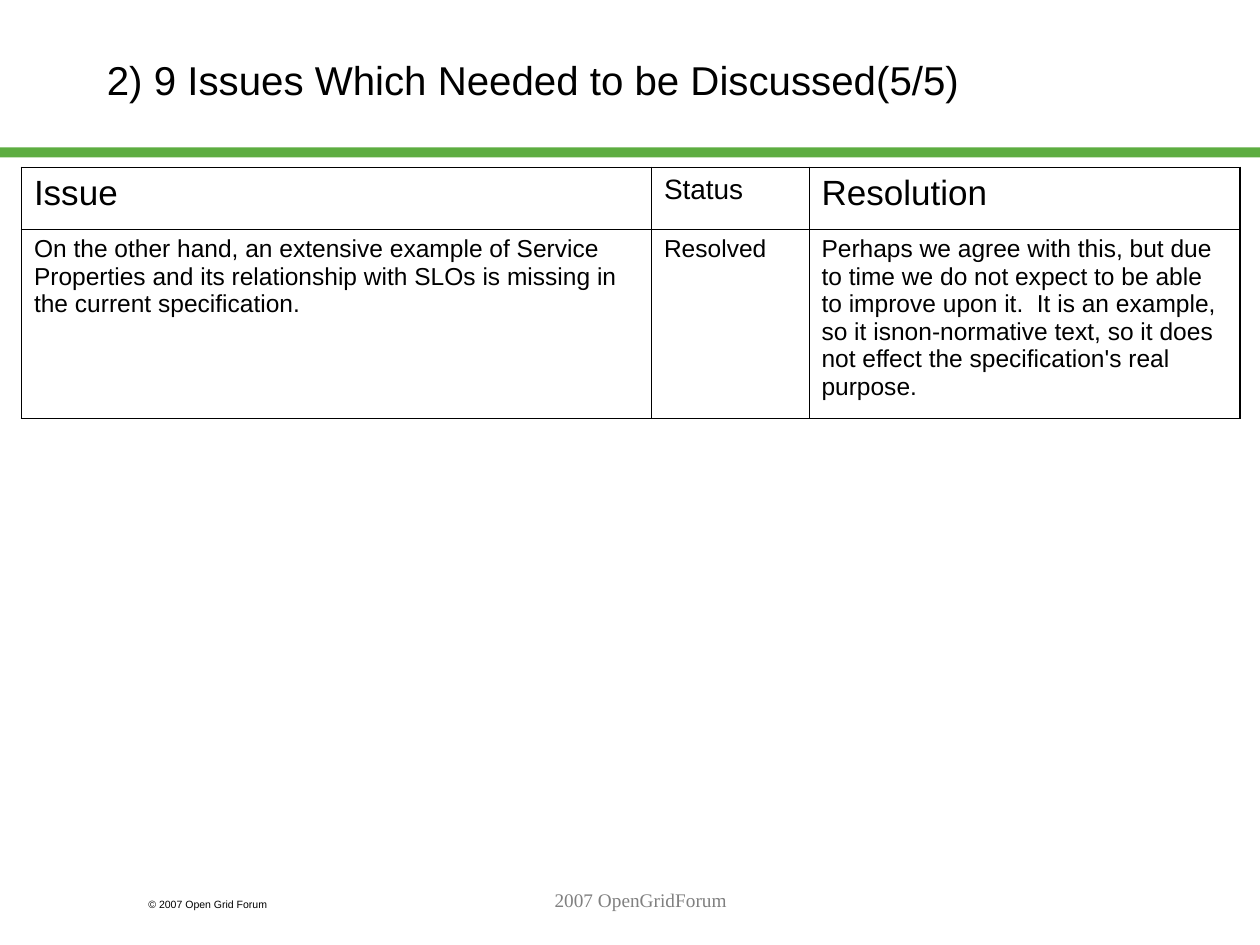
from lxml.etree import SubElement
from pptx import Presentation
from pptx.dml.color import RGBColor
from pptx.enum.shapes import MSO_SHAPE
from pptx.enum.text import MSO_ANCHOR, PP_ALIGN
from pptx.oxml.ns import qn
from pptx.util import Inches, Pt

COLORS = {"text": "000000", "bar": "5DAD41", "footer": "808080", "paper": "FFFFFF"}

# text, (left, top, width, height), format
LABELS = [
    ("2) 9 Issues Which Needed to be Discussed(5/5)", (0.75, 0.17, 7, 0.92),
     {"size": 23, "anchor": MSO_ANCHOR.MIDDLE}),
    ("© 2007 Open Grid Forum", (1.08, 7.08, 1.5, 0.2), {"size": 6}),
    ("2007 OpenGridForum", (2.17, 7, 5.83, 0.5),
     {"size": 11, "name": "Times New Roman", "color": "footer", "align": PP_ALIGN.CENTER}),
]

ISSUES = [
    [("Issue", 20), ("Status", 16), ("Resolution", 20)],
    [("On the other hand, an extensive example of Service Properties and its "
      "relationship with SLOs is missing in the current specification.", 14),
     ("Resolved", 14),
     ("Perhaps we agree with this, but due to time we do not expect to be able to "
      "improve upon it.  It is an example, so it isnon-normative text, so it does "
      "not effect the specification's real purpose.", 14)],
]
COLUMN_WIDTHS = [5, 1.25, 3.42]
ROW_HEIGHTS = [0.49, 1.5]
TABLE_LEFT, TABLE_TOP = 0.17, 1.33
OUTER_LINE, INNER_LINE = 1.08, 0.45


def rgb(color):
    return RGBColor.from_string(COLORS[color])


def write(frame, text, size, name="Arial", color="text", align=PP_ALIGN.LEFT):
    paragraph = frame.paragraphs[0]
    paragraph.alignment = align
    run = paragraph.add_run()
    run.text = text
    for attribute, value in {"size": Pt(size), "name": name, "bold": False}.items():
        setattr(run.font, attribute, value)
    run.font.color.rgb = rgb(color)


def add_label(slide, text, place, style):
    style = dict(style)
    frame = slide.shapes.add_textbox(*map(Inches, place)).text_frame
    frame.word_wrap = True
    frame.vertical_anchor = style.pop("anchor", MSO_ANCHOR.TOP)
    write(frame, text, **style)


def add_borders(cell, edges):
    """Draw a cell's edges; edges maps L, R, T, B to whether it is an outer one."""
    properties = cell._tc.get_or_add_tcPr()
    for side, outer in edges.items():
        width = Pt(OUTER_LINE if outer else INNER_LINE)
        line = SubElement(properties, qn(f"a:ln{side}"), w=str(int(width)))
        fill = SubElement(line, qn("a:solidFill"))
        SubElement(fill, qn("a:srgbClr"), val=COLORS["text"])


def add_issue_table(slide):
    last_row, last_column = len(ROW_HEIGHTS) - 1, len(COLUMN_WIDTHS) - 1
    table = slide.shapes.add_table(
        len(ROW_HEIGHTS), len(COLUMN_WIDTHS), Inches(TABLE_LEFT), Inches(TABLE_TOP),
        Inches(sum(COLUMN_WIDTHS)), Inches(sum(ROW_HEIGHTS))).table
    table.first_row = table.horz_banding = False
    for column, width in zip(table.columns, COLUMN_WIDTHS):
        column.width = Inches(width)
    for row, height in zip(table.rows, ROW_HEIGHTS):
        row.height = Inches(height)
    for r, issue in enumerate(ISSUES):
        for c, (text, size) in enumerate(issue):
            cell = table.cell(r, c)
            add_borders(cell, {"L": c == 0, "R": c == last_column,
                               "T": r == 0, "B": r == last_row})
            cell.fill.background()
            write(cell.text_frame, text, size)


def main():
    deck = Presentation()
    deck.slide_width, deck.slide_height = Inches(10), Inches(7.5)
    slide = deck.slides.add_slide(deck.slide_layouts[6])
    slide.background.fill.solid()
    slide.background.fill.fore_color.rgb = rgb("paper")

    bar = slide.shapes.add_shape(
        MSO_SHAPE.RECTANGLE, 0, Inches(1.17), deck.slide_width, Inches(0.08))
    bar.shadow.inherit = False
    bar.fill.solid()
    bar.fill.fore_color.rgb = rgb("bar")
    bar.line.fill.background()

    for label in LABELS:
        add_label(slide, *label)
    add_issue_table(slide)
    deck.save("out.pptx")


if __name__ == "__main__":
    main()
